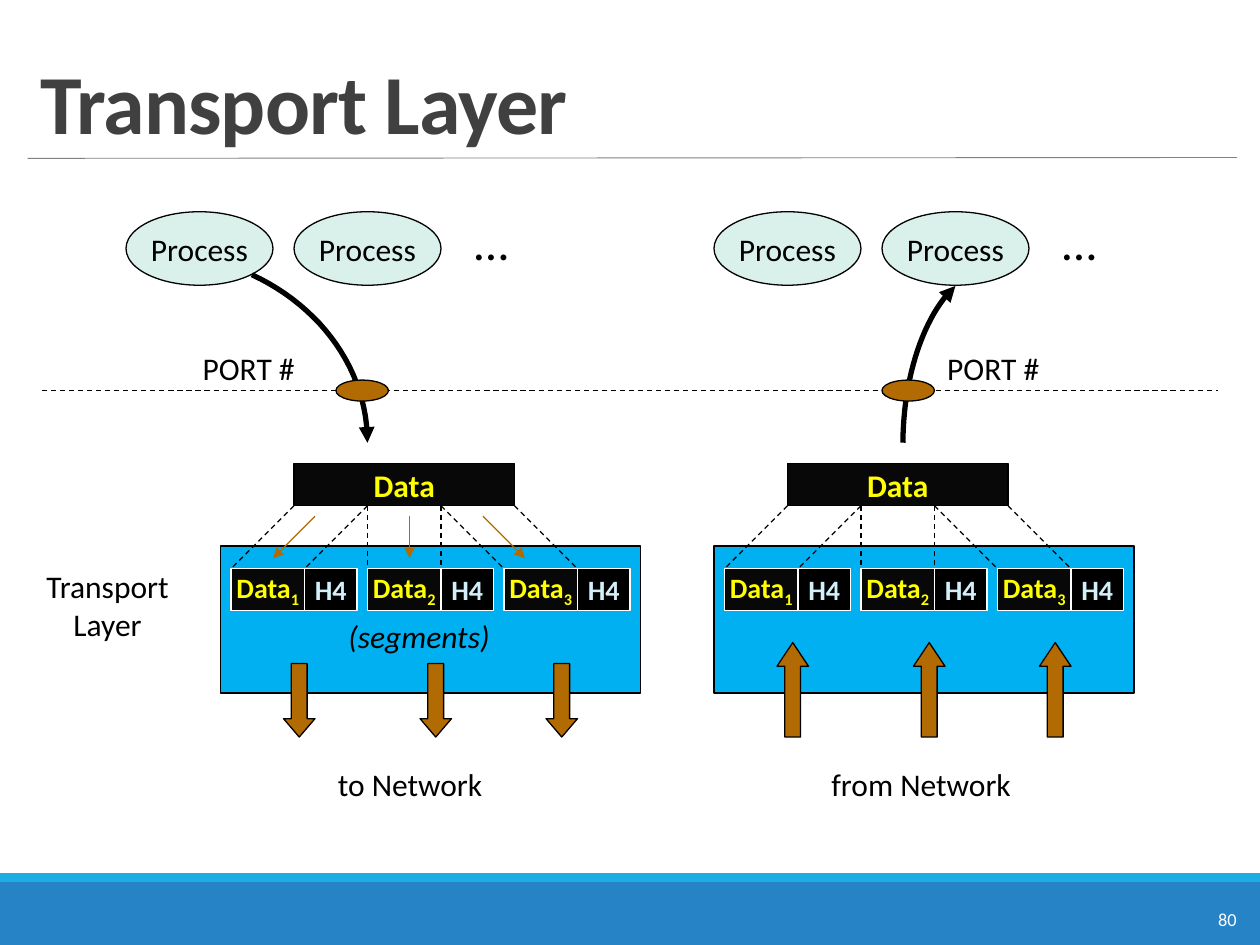
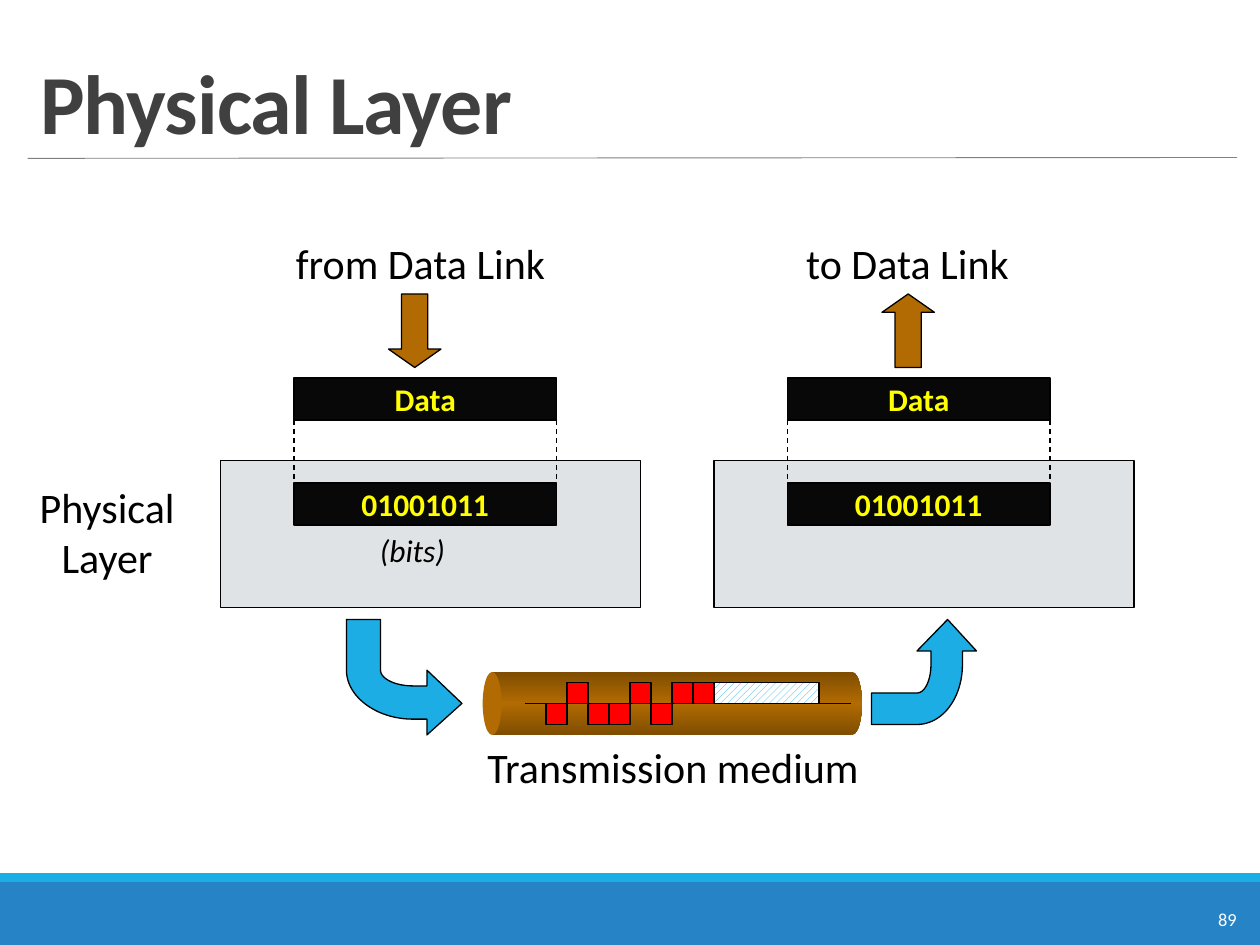
"""Build two network-layer slides: Transport Layer and Physical Layer."""
from copy import deepcopy

from lxml import etree
from pptx import Presentation
from pptx import util as u
from pptx.dml import color as dml
from pptx.enum import dml as styles
from pptx.enum import shapes, text
from pptx.oxml import ns

COLORS = {
    "black": "000000", "white": "FFFFFF", "title": "404040", "rule": "808080",
    "footer": "2683C6", "blue": "1CADE4", "transport": "00B0F0",
    "physical": "DFE3E5", "data": "080808", "yellow": "FFFF00",
    "header": "D2EFFA", "brown": "B26B02", "dark brown": "7F4D01",
    "process": "D9F1EA", "red": "FF0000",
}
FONT = "Calibri"
KINDS = shapes.MSO_SHAPE
CENTER = text.PP_ALIGN.CENTER

PANEL_LEFTS = (126, 408)
PANEL_SIZE = (240, 84)
BOX_INSET = 42
BOX_HEIGHT = 24
ARROWS = {"down": KINDS.DOWN_ARROW, "up": KINDS.UP_ARROW}

TRANSPORT_SIDES = [
    {"processes": 72, "port": 192, "port label": 108.7,
     "curve": [(144, 157), (184.3, 175.7, 210.2, 212.4, 210, 253)],
     "arrow": "down", "arrow top": 379.2, "arrow height": 42, "head": 0.583,
     "network": ("to Network", 186, 102)},
    {"processes": 408, "port": 504, "port label": 534.2,
     "curve": [(516, 253), (516.2, 215.3, 528, 180, 546, 163.4)],
     "arrow": "up", "arrow top": 367.2, "arrow height": 54, "head": 0.75,
     "network": ("from Network", 468, 123)},
]
SEGMENT_ARROWS = [(180, 156), (234, 234), (276, 300)]
NETWORK_ARROW_OFFSETS = (36, 114, 186)

PHYSICAL_SIDES = [
    {"label": ("from Data Link", 162, 158.4), "arrow": "down", "arrow left": 222},
    {"label": ("to Data Link", 453.6, 131), "arrow": "up", "arrow left": 504},
]
BITS = "01001011"
BENT_ARROWS = [
    [(264, 402), (244, 420), (244, 411), (236, 411), (215, 411, 198, 398, 198, 383),
     (198, 354), (217.5, 354), (217.5, 383), (217.5, 388, 226, 392, 236, 392),
     (244, 392), (244, 383)],
    [(541.5, 354), (558, 372), (550, 372), (550, 379.5), (550, 399, 538.5, 414, 524, 414),
     (498, 414), (498, 396), (524, 396), (528.5, 396, 532, 388.8, 532, 379.5),
     (532, 372), (524, 372)],
]


def rgb(name):
    return dml.RGBColor.from_string(COLORS[name])


def write(box, content, size, color="black", align=None, bold=False, italic=False,
          subscript="", wrap=False):
    frame = box.text_frame
    frame.word_wrap = wrap
    para = frame.paragraphs[0]
    para.text = content
    para.alignment = align
    font = para.font
    font.name, font.size, font.bold, font.italic = FONT, u.Pt(size), bold, italic
    font.color.rgb = rgb(color)
    if subscript:
        span = para.add_run()
        span.text = subscript
        span.font._element.set("baseline", "-25000")
    return para


def add_label(page, content, left, top, width, height, size=18, **style):
    box = page.shapes.add_textbox(*map(u.Pt, (left, top, width, height)))
    return box, write(box, content, size, **style)


def add_box(page, kind, left, top, width, height, fill, line="black"):
    box = page.shapes.add_shape(kind, *map(u.Pt, (left, top, width, height)))
    return paint(box, fill, line)


def paint(box, fill, line, weight=0.75):
    box.shadow.inherit = False
    if fill:
        box.fill.solid()
        box.fill.fore_color.rgb = rgb(fill)
    else:
        box.fill.background()
    if line:
        box.line.color.rgb = rgb(line)
        box.line.width = u.Pt(weight)
    else:
        box.line.fill.background()
    return box


def add_text_box(page, kind, place, fill, content, size=18, color="yellow",
                 line="black", bold=True, subscript=""):
    box = add_box(page, kind, *place, fill, line)
    box.text_frame.vertical_anchor = text.MSO_ANCHOR.MIDDLE
    write(box, content, size, color, CENTER, bold, subscript=subscript)


def add_block_arrow(page, direction, left, top, width, height, head):
    arrow = add_box(page, ARROWS[direction], left, top, width, height, "brown")
    arrow.adjustments[0], arrow.adjustments[1] = 0.5, head


def add_arrowhead(item):
    line = item._element.spPr.find(ns.qn("a:ln"))
    etree.SubElement(line, ns.qn("a:tailEnd"), type="triangle")


def add_line(page, start, end, color="black", weight=0.75, dashed=False, arrow=False):
    line = page.shapes.add_connector(
        shapes.MSO_CONNECTOR.STRAIGHT, *map(u.Pt, (*start, *end)))
    line.line.color.rgb = rgb(color)
    line.line.width = u.Pt(weight)
    if dashed:
        line.line.dash_style = styles.MSO_LINE.DASH
    if arrow:
        add_arrowhead(line)
    etree.SubElement(line._element.spPr, ns.qn("a:effectLst"))


def trace(outline, steps=24):
    points = [outline[0]]
    for part in outline[1:]:
        if len(part) == 2:
            points.append(part)
            continue
        controls = [points[-1], part[:2], part[2:4], part[4:]]
        for step in range(1, steps + 1):
            t = step / steps
            weights = ((1 - t) ** 3, 3 * t * (1 - t) ** 2, 3 * t * t * (1 - t), t ** 3)
            points.append(tuple(sum(w * c[axis] for w, c in zip(weights, controls))
                                for axis in (0, 1)))
    return [(u.Pt(x), u.Pt(y)) for x, y in points]


def add_outline(page, outline, fill, weight, close):
    points = trace(outline)
    builder = page.shapes.build_freeform(*points[0])
    builder.add_line_segments(points[1:], close=close)
    return paint(builder.convert_to_shape(), fill, "black", weight)


def add_page(deck, title, number):
    page = deck.slides.add_slide(deck.slide_layouts[6])
    add_box(page, KINDS.RECTANGLE, 0, 504, 720, 36, "footer", None)
    add_box(page, KINDS.RECTANGLE, 0, 499, 720, 5, "blue", None)
    add_line(page, (15.8, 90.5), (707, 90), "rule", 0.5)
    add_label(page, number, 689, 515.5, 26.6, 20, 10.5, color="white")
    box, para = add_label(page, title, 15.8, 18, 691, 72, 48,
                          color="title", bold=True, wrap=True)
    box.text_frame.vertical_anchor = text.MSO_ANCHOR.BOTTOM
    para.line_spacing = 0.85
    para.runs[0].font._element.set("spc", "-50")
    return page


def add_segments(page, panel, top):
    data_left = panel + BOX_INSET
    data_bottom = 289
    add_text_box(page, KINDS.RECTANGLE, (data_left, 265, 126, BOX_HEIGHT), "data", "Data")
    for index in range(3):
        left = panel + 6 + 78 * index
        middle = left + 42
        add_text_box(page, KINDS.RECTANGLE, (left, top, 42, BOX_HEIGHT), "data", "Data", 16,
                     line="white", subscript=str(index + 1))
        add_text_box(page, KINDS.RECTANGLE, (middle, top, 30, BOX_HEIGHT), "black", "H4", 16,
                     "header", line="white")
        for part, end in enumerate((left, middle)):
            start = data_left + 42 * (index + part)
            add_line(page, (start, data_bottom), (end, top), dashed=True)


def add_processes(page, side):
    for index in range(2):
        add_text_box(page, KINDS.OVAL, (side["processes"] + 96 * index, 121, 84, 42),
                     "process", "Process", color="black", bold=False)
    add_label(page, "…", side["processes"] + 192, 117.4, 37.4, 41, 28)
    curve = add_outline(page, side["curve"], None, 3, close=False)
    add_arrowhead(curve)
    add_label(page, "PORT #", side["port label"], 195.8, 77.8, 28.8)
    add_box(page, KINDS.OVAL, side["port"], 217.2, 30, 12, "brown")


def build_transport(deck):
    page = add_page(deck, "Transport Layer", "80")
    add_line(page, (24, 223), (696, 223), dashed=True)
    add_label(page, "Transport\vLayer", 15.8, 320.4, 91.4, 50.4, align=CENTER)
    for panel, side in zip(PANEL_LEFTS, TRANSPORT_SIDES):
        add_box(page, KINDS.RECTANGLE, panel, 312, *PANEL_SIZE, "transport")
        add_segments(page, panel, 325)
        for offset in NETWORK_ARROW_OFFSETS:
            add_block_arrow(page, side["arrow"], panel + offset, side["arrow top"],
                            18, side["arrow height"], side["head"])
        name, left, width = side["network"]
        add_label(page, name, left, 433.4, width, 28.8)
        add_processes(page, side)
    for start, end in SEGMENT_ARROWS:
        add_line(page, (start, 295), (end, 319), "brown", arrow=True)
    add_label(page, "(segments)", 192, 349.2, 104.4, 28.8, italic=True)


def shade_cylinder(box):
    box.fill.gradient()
    box.fill.gradient_angle = 90
    stops = box._element.spPr.find(".//" + ns.qn("a:gsLst"))
    stops.append(deepcopy(stops[0]))
    shades = ((0, "dark brown"), (0.5, "brown"), (1, "dark brown"))
    for stop, (position, color) in zip(box.fill.gradient_stops, shades):
        stop.position = position
        stop.color.rgb = rgb(color)


def add_medium(page):
    for kind, left, width in ((KINDS.OVAL, 481.7, 10.8), (KINDS.RECTANGLE, 281.5, 205.2)):
        shade_cylinder(add_box(page, kind, left, 384, width, 36, "brown", None))
    add_box(page, KINDS.OVAL, 275.8, 384, 10.8, 36, "brown", None)
    add_label(page, "Transmission medium", 271.4, 420, 229, 36, 24)
    axis, pulse, first = 402, 12, 312
    add_line(page, (300, axis), (486, axis))
    for index, bit in enumerate(BITS):
        top = axis - pulse * int(bit)
        add_box(page, KINDS.RECTANGLE, first + pulse * index, top, pulse, pulse, "red")
    idle = add_box(page, KINDS.RECTANGLE, first + pulse * len(BITS), axis - pulse,
                   60, pulse, "white")
    idle.fill.patterned()
    idle.fill.pattern = styles.MSO_PATTERN.WIDE_UPWARD_DIAGONAL
    idle.fill.fore_color.rgb = rgb("blue")
    idle.fill.back_color.rgb = rgb("white")


def build_physical(deck):
    page = add_page(deck, "Physical Layer", "89")
    add_label(page, "Physical\vLayer", 15.1, 271.4, 92.2, 65.5, 24, align=CENTER)
    for panel, side in zip(PANEL_LEFTS, PHYSICAL_SIDES):
        add_box(page, KINDS.RECTANGLE, panel, 263, *PANEL_SIZE, "physical")
        name, left, width = side["label"]
        add_label(page, name, left, 132, width, 36, 24)
        add_block_arrow(page, side["arrow"], side["arrow left"], 168, 30, 42, 0.35)
        data_left, data_width = panel + BOX_INSET, 150
        for top, content in ((216, "Data"), (276, BITS)):
            add_text_box(page, KINDS.RECTANGLE, (data_left, top, data_width, BOX_HEIGHT),
                         "data", content)
        for x in (data_left, data_left + data_width):
            add_line(page, (x, 240), (x, 276), dashed=True)
    add_label(page, "(bits)", 210, 300, 56, 28.8, italic=True)
    for outline in BENT_ARROWS:
        add_outline(page, outline, "blue", 0.75, close=True)
    add_medium(page)


def main():
    deck = Presentation()
    deck.slide_width, deck.slide_height = u.Pt(720), u.Pt(540)
    build_transport(deck)
    build_physical(deck)
    deck.save("out.pptx")


if __name__ == "__main__":
    main()
